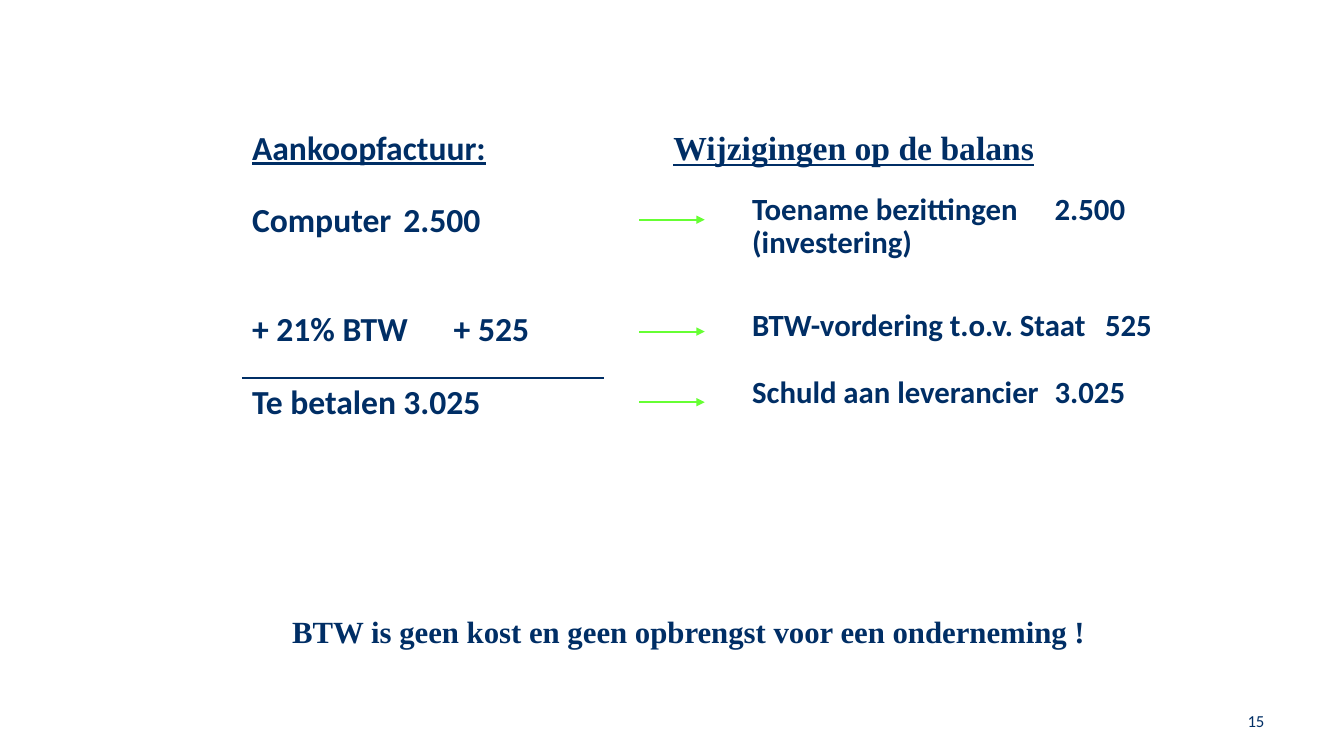
"""Build the slide on a purchase invoice with VAT and its effect on the balance sheet."""
from lxml.etree import SubElement
from pptx import Presentation
from pptx.dml.color import RGBColor
from pptx.enum.shapes import MSO_CONNECTOR
from pptx.enum.text import MSO_ANCHOR, MSO_AUTO_SIZE, PP_ALIGN
from pptx.oxml.ns import qn
from pptx.util import Inches, Pt

NAVY = RGBColor(0x00, 0x2E, 0x65)
GREEN = RGBColor(0x66, 0xFF, 0x33)

# text, space before in points, tab position in inches
INVOICE_ROWS = [
    ("Aankoopfactuur:", 0, None),
    ("Computer\t2.500", 26, 2.56),
    ("+ 21% BTW\t+ 525", 52, 2.3),
    ("Te betalen\t3.025", 26, 2.63),
]
BALANCE_ROWS = [
    ("Toename bezittingen\t2.500\v(investering)", 0, 3.69),
    ("BTW-vordering t.o.v. Staat\t525", 35.5, 4.21),
    ("Schuld aan leverancier\t3.025", 24, 3.62),
]
BALANCE_HEADING = "Wijzigingen op de balans"
CONCLUSION = "BTW is geen kost en geen opbrengst voor een onderneming !"
SLIDE_NUMBER = "15"
ARROW_TOPS = [2.18, 3.29, 3.99]
ARROW_LEFT, ARROW_RIGHT = 6.34, 6.99
SUM_LINE = (2.4, 5.99, 3.75)


def write(paragraph, text, size=24, font="Calibri", bold=True, underline=False,
          align=PP_ALIGN.LEFT, spacing=None, before=0):
    """Put formatted text in a paragraph."""
    paragraph.text = text
    paragraph.alignment = align
    paragraph.line_spacing = spacing
    paragraph.space_before = Pt(before)
    for run in paragraph.runs:
        run.font.name = font
        run.font.size = Pt(size)
        run.font.bold = bold
        run.font.underline = underline
        run.font.color.rgb = NAVY


def place(shape, left, top, width, height):
    """Move a shape to a position in inches."""
    shape.left, shape.top = Inches(left), Inches(top)
    shape.width, shape.height = Inches(width), Inches(height)


def set_tab(paragraph, position):
    """Remove the bullet and indent, and add a left tab stop."""
    properties = paragraph._p.get_or_add_pPr()
    properties.set("marL", "0")
    properties.set("indent", "0")
    SubElement(properties, qn("a:buNone"))
    if position:
        tabs = SubElement(properties, qn("a:tabLst"))
        SubElement(tabs, qn("a:tab"), pos=str(Inches(position)), algn="l")


def fill_rows(placeholder, rows, size):
    """Write one tabbed paragraph for each row."""
    frame = placeholder.text_frame
    frame.auto_size = MSO_AUTO_SIZE.NONE
    for index, (text, before, tab) in enumerate(rows):
        paragraph = frame.add_paragraph() if index else frame.paragraphs[0]
        write(paragraph, text, size=size, spacing=0.9, before=before,
              underline=tab is None)
        set_tab(paragraph, tab)


def add_text(slide, box, text, wrap=True, anchor=MSO_ANCHOR.TOP, **style):
    """Add a text box with one paragraph."""
    frame = slide.shapes.add_textbox(*map(Inches, box)).text_frame
    frame.word_wrap = wrap
    frame.vertical_anchor = anchor
    write(frame.paragraphs[0], text, **style)


def add_line(slide, left, right, top, color, width, arrow=False):
    """Add a horizontal line, with an arrowhead if asked."""
    line = slide.shapes.add_connector(
        MSO_CONNECTOR.STRAIGHT, Inches(left), Inches(top), Inches(right), Inches(top))
    line.line.color.rgb = color
    line.line.width = Pt(width)
    if arrow:
        SubElement(line.line._get_or_add_ln(), qn("a:tailEnd"), type="triangle")
    SubElement(line._element.spPr, qn("a:effectLst"))


def main():
    """Build and save the slide."""
    presentation = Presentation()
    presentation.slide_width, presentation.slide_height = Inches(13.33), Inches(7.5)
    slide = presentation.slides.add_slide(presentation.slide_layouts[3])
    title, invoice, balance = slide.placeholders
    title._element.getparent().remove(title._element)

    place(invoice, 2.4, 1.25, 4.08, 3.92)
    fill_rows(invoice, INVOICE_ROWS, size=24)
    place(balance, 7.11, 1.87, 5.65, 4.17)
    balance.text_frame.margin_left = Inches(0.35)
    fill_rows(balance, BALANCE_ROWS, size=22)

    add_text(slide, (2.8, 6.03, 8.1, 0.47), CONCLUSION, size=22, font="Times New Roman")
    add_text(slide, (6.58, 1.26, 3.78, 0.46), BALANCE_HEADING, wrap=False,
             font="Times New Roman", underline=True, spacing=0.9)
    add_line(slide, *SUM_LINE, NAVY, 0.75)
    for top in ARROW_TOPS:
        add_line(slide, ARROW_LEFT, ARROW_RIGHT, top, GREEN, 1.5, arrow=True)
    add_text(slide, (9.64, 6.95, 3, 0.4), SLIDE_NUMBER, anchor=MSO_ANCHOR.MIDDLE,
             size=12, bold=False, align=PP_ALIGN.RIGHT)
    presentation.save("out.pptx")


if __name__ == "__main__":
    main()
